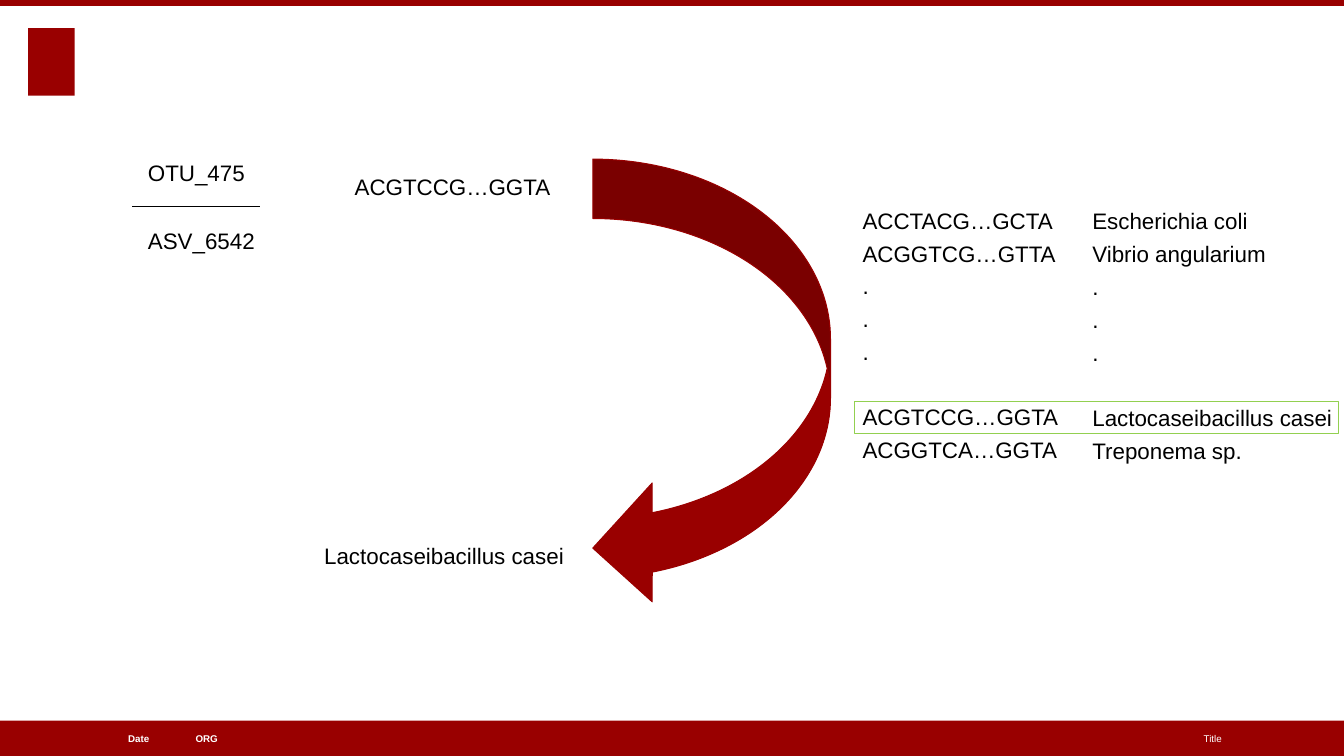
import pptx
import pptx.dml.color
import pptx.enum.shapes
import pptx.enum.text
import pptx.oxml.ns
import pptx.util
from lxml import etree

Cm = pptx.util.Cm
Pt = pptx.util.Pt
SHAPE = pptx.enum.shapes.MSO_SHAPE
ALIGN = pptx.enum.text.PP_ALIGN
ANCHOR = pptx.enum.text.MSO_ANCHOR

COLOURS = {"red": "990000", "green": "92D050", "black": "000000", "white": "FFFFFF"}
WIDTH, HEIGHT = 33.87, 19.05
ROW_GAP = 4.3
BLOCK_GAP = 27
SEQUENCES = [["ACCTACG…GCTA", "ACGGTCG…GTTA", ".", ".", "."],
             ["ACGTCCG…GGTA", "ACGGTCA…GGTA"]]
SPECIES = [["Escherichia coli", "Vibrio angularium", ".", ".", "."],
           ["Lactocaseibacillus casei", "Treponema sp."]]


def colour(name):
    return pptx.dml.color.RGBColor.from_string(COLOURS[name])


def add_block(page, kind, box, fill=None, line=None):
    shape = page.shapes.add_shape(kind, *map(Cm, box))
    shape.shadow.inherit = False
    if fill:
        shape.fill.solid()
        shape.fill.fore_color.rgb = colour(fill)
    else:
        shape.fill.background()
    if line:
        shape.line.color.rgb = colour(line)
        shape.line.width = Pt(0.75)
    else:
        shape.line.fill.background()
    return shape


def add_text(page, box, text, size=16, ink="black", bold=False, align=ALIGN.LEFT,
             anchor=ANCHOR.TOP, wrap=True):
    frame = page.shapes.add_textbox(*map(Cm, box)).text_frame
    frame.margin_left = frame.margin_right = frame.margin_top = frame.margin_bottom = 0
    frame.word_wrap = wrap
    frame.vertical_anchor = anchor
    frame.text = text
    for para in frame.paragraphs:
        para.alignment = align
        for span in para.runs:
            span.font.name = "Arial"
            span.font.size = Pt(size)
            span.font.bold = bold
            span.font.color.rgb = colour(ink)
    return frame


def add_header(page, box):
    left, top, width, height = box
    add_block(page, SHAPE.RECTANGLE, (left, top, width, 0.15), "red")
    add_block(page, SHAPE.RECTANGLE, (left + 0.71, top + 0.71, 1.17, 1.7), "red")


def add_footer(page, box):
    left, top, width, height = box
    add_block(page, SHAPE.RECTANGLE, box, "red")
    for text, offset, span_width, bold, align in [
            ("Date", 0.69, 3.07, True, ALIGN.RIGHT),
            ("ORG", 4.93, 9.45, True, ALIGN.LEFT),
            ("Title", 15.52, 15.27, False, ALIGN.RIGHT)]:
        add_text(page, (left + offset, top, span_width, height), text, 7, "white",
                 bold, align, ANCHOR.MIDDLE)


def add_identifiers(page, box):
    left, top, width, height = box
    divider = page.shapes.add_connector(
        pptx.enum.shapes.MSO_CONNECTOR.STRAIGHT,
        Cm(left), Cm(top + 1.2), Cm(left + width), Cm(top + 1.2))
    divider.line.color.rgb = colour("black")
    divider.line.width = Pt(0.75)
    properties = divider._element.spPr
    etree.SubElement(properties, pptx.oxml.ns.qn("a:effectLst"))
    row = 0.69
    add_text(page, (left + 0.4, top, 2.46, row), "OTU_475", wrap=False)
    add_text(page, (left + 0.4, top + height - row, 2.72, row), "ASV_6542", wrap=False)


def add_lookup(page, box):
    left, top, width, height = box
    add_text(page, (left + 1.02, top + 0.35, 6, 0.69), "ACGTCCG…GGTA")
    add_text(page, (left + 0.25, top + 9.66, 6.5, 0.69), "Lactocaseibacillus casei")
    arrow_width = 5.99
    add_block(page, SHAPE.CURVED_LEFT_ARROW,
              (left + width - arrow_width, top, arrow_width, height), "red", "red")


def add_reference_column(page, box, blocks):
    lines = [text for block in blocks for text in block]
    frame = add_text(page, box, "\n".join(lines))
    for index, para in enumerate(frame.paragraphs):
        if index:
            para.space_before = Pt(BLOCK_GAP if index == len(blocks[0]) else ROW_GAP)


def add_reference(page, box):
    left, top, width, height = box
    add_reference_column(page, (left + 0.2, top, 5.6, height), SEQUENCES)
    add_reference_column(page, (left + 5.99, top + 0.02, 6.6, height), SPECIES)
    add_block(page, SHAPE.RECTANGLE, (left, top + 4.92, width, 0.79), line="green")


def main():
    deck = pptx.Presentation()
    deck.slide_width = Cm(WIDTH)
    deck.slide_height = Cm(HEIGHT)
    page = deck.slides.add_slide(deck.slide_layouts[6])
    add_header(page, (0, 0, WIDTH, 2.41))
    add_footer(page, (0, HEIGHT - 0.89, WIDTH, 0.89))
    add_identifiers(page, (3.33, 4.01, 3.22, 2.4))
    add_lookup(page, (7.92, 4.01, 13.01, 11.3))
    add_reference(page, (21.54, 5.21, 12.19, 7.29))
    deck.save("out.pptx")


if __name__ == "__main__":
    main()
